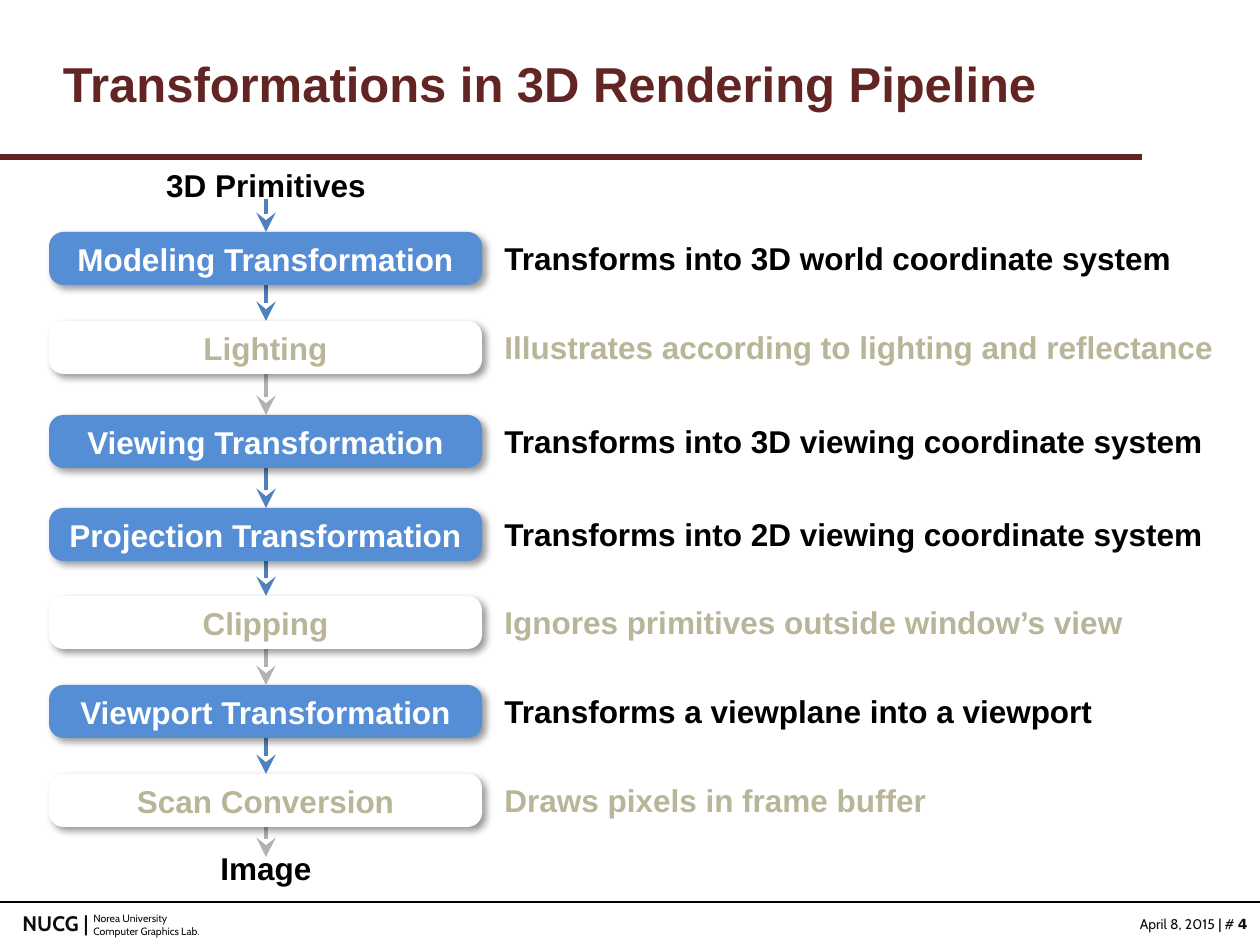
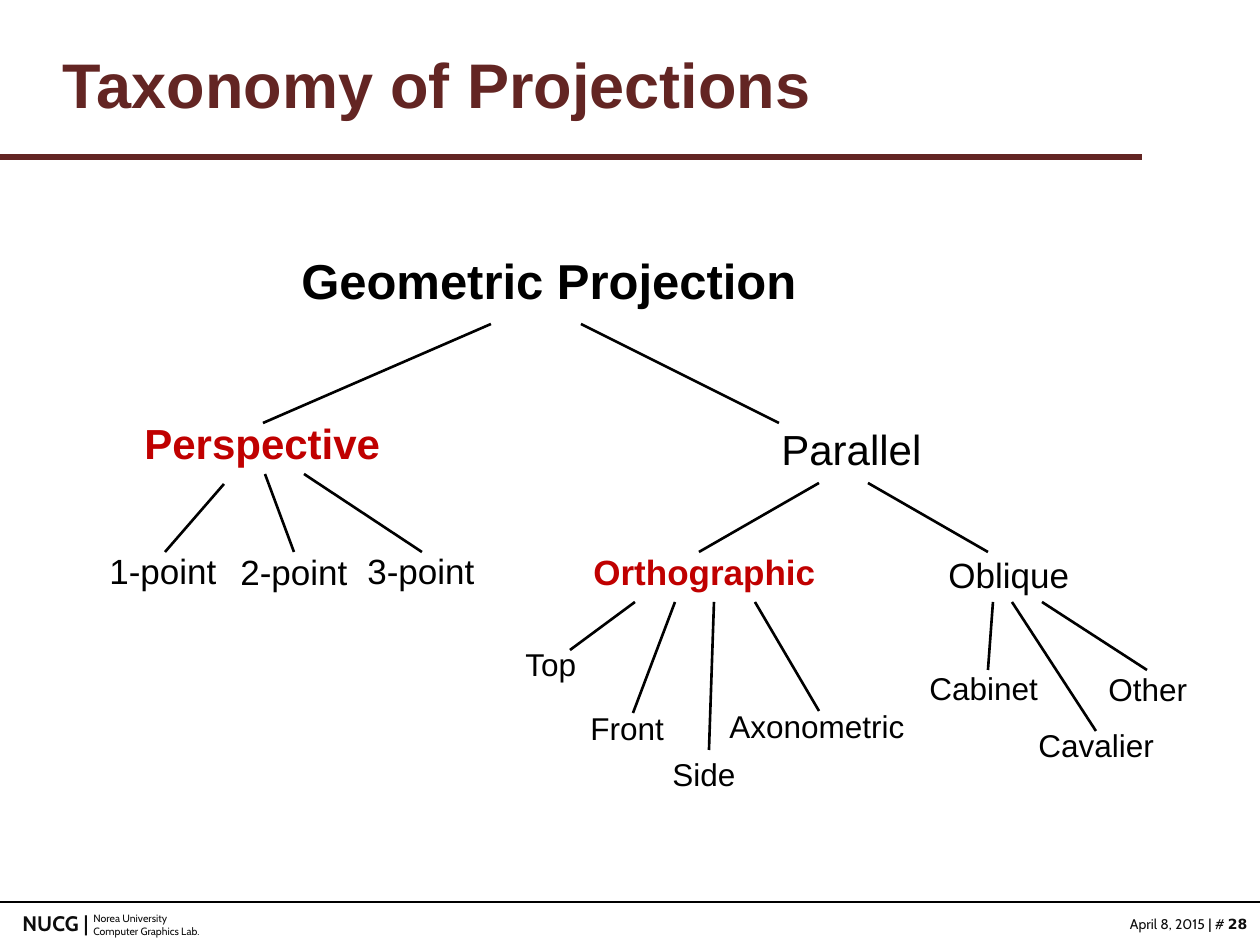
from dataclasses import dataclass
from typing import Optional

from lxml.etree import SubElement
from pptx import Presentation
from pptx.dml.color import RGBColor
from pptx.enum.shapes import MSO_CONNECTOR as CONN, MSO_SHAPE as SHAPE
from pptx.enum.text import MSO_ANCHOR as ANCHOR, MSO_AUTO_SIZE as FIT, PP_ALIGN as ALIGN
from pptx.oxml.ns import qn
from pptx.util import Emu, Pt

PX = 914400 / 126
WIDTH, HEIGHT = 1260, 945
COLORS = {
    "title": "632523", "ink": "000000", "footer": "0D0D0D", "white": "FFFFFF",
    "box": "558ED5", "arrow": "4F81BD", "muted": "B8B598", "muted_arrow": "B2B2B2",
    "accent": "C00000",
}
FLOW_X, BOX_LEFT, BOX_WIDTH, BOX_HEIGHT = 266, 49, 433, 53
NOTE_LEFT = 492
BODY = {"name": "Arial", "size": Pt(18), "bold": True}
SMALL = {"name": "Cabin", "size": Pt(8), "bold": False}
GROW = {"word_wrap": False, "auto_size": FIT.SHAPE_TO_FIT_TEXT}
FIXED = {"word_wrap": False, "auto_size": FIT.NONE}


@dataclass
class Run:
    text: str
    font: dict
    color: str = "ink"


@dataclass
class Stage:
    name: str
    note: str
    top: int
    note_width: int
    muted: bool = False


@dataclass
class Node:
    text: str
    left: int
    top: int
    width: int
    size: int
    link: Optional[tuple[int, int, int, int]] = None
    accent: bool = False
    bold: bool = False


STAGES = [
    Stage("Modeling Transformation", "Transforms into 3D world coordinate system", 232, 698),
    Stage("Lighting", "Illustrates according to lighting and reflectance", 321, 748, True),
    Stage("Viewing Transformation", "Transforms into 3D viewing coordinate system", 415, 733),
    Stage("Projection Transformation", "Transforms into 2D viewing coordinate system", 508, 733),
    Stage("Clipping", "Ignores primitives outside window’s view", 596, 650, True),
    Stage("Viewport Transformation", "Transforms a viewplane into a viewport", 685, 619),
    Stage("Scan Conversion", "Draws pixels in frame buffer", 774, 451, True),
]

NODES = [
    Node("Geometric Projection", 289, 244, 531, 28, bold=True),
    Node("Perspective", 132, 411, 267, 24, (491, 324, 263, 423), accent=True, bold=True),
    Node("Parallel", 769, 417, 172, 24, (581, 324, 779, 423)),
    Node("1-point", 97, 543, 140, 20, (224, 484, 165, 552)),
    Node("2-point", 228, 544, 140, 20, (265, 474, 294, 552)),
    Node("3-point", 355, 543, 140, 20, (304, 474, 422, 552)),
    Node("Orthographic", 581, 544, 253, 20, (819, 483, 699, 552), accent=True, bold=True),
    Node("Oblique", 936, 547, 151, 20, (868, 483, 988, 552)),
    Node("Top", 513, 639, 81, 18, (635, 602, 570, 650)),
    Node("Front", 578, 703, 104, 18, (675, 602, 633, 713)),
    Node("Side", 660, 749, 93, 18, (714, 602, 709, 750)),
    Node("Axonometric", 717, 701, 206, 18, (755, 602, 819, 711)),
    Node("Cabinet", 917, 663, 139, 18, (993, 602, 988, 670)),
    Node("Cavalier", 1026, 720, 146, 18, (1012, 602, 1096, 731)),
    Node("Other", 1096, 664, 109, 18, (1042, 602, 1147, 670)),
]


def px(*lengths: int) -> list[Emu]:
    return [Emu(round(n * PX)) for n in lengths]


def rgb(name: str) -> RGBColor:
    return RGBColor.from_string(COLORS[name])


def assign(target, fmt: dict) -> None:
    for key, value in fmt.items():
        setattr(target, key, value)


def write(tf, lines: list[list[Run]], frame: dict, para: dict) -> None:
    assign(tf, frame)
    for i, line in enumerate(lines):
        p = tf.add_paragraph() if i else tf.paragraphs[0]
        assign(p, para)
        for run in line:
            r = p.add_run()
            r.text = run.text
            assign(r.font, run.font)
            r.font.color.rgb = rgb(run.color)


def add_text(s, box: tuple[int, int, int, int], lines: list[list[Run]],
             frame: dict = GROW, **para) -> None:
    write(s.shapes.add_textbox(*px(*box)).text_frame, lines, frame, para)


def add_line(s, ends: tuple[int, int, int, int], color: str, weight: float,
             arrow: bool = False) -> None:
    line = s.shapes.add_connector(CONN.STRAIGHT, *px(*ends))
    line.line.color.rgb = rgb(color)
    line.line.width = Pt(weight)
    props = line.element.spPr
    if arrow:
        SubElement(props.find(qn("a:ln")), qn("a:tailEnd"), type="stealth", w="lg", len="lg")
    SubElement(props, qn("a:effectLst"))


def add_stage_box(s, stage: Stage) -> None:
    sp = s.shapes.add_shape(SHAPE.ROUNDED_RECTANGLE,
                            *px(BOX_LEFT, stage.top, BOX_WIDTH, BOX_HEIGHT))
    sp.adjustments[0] = 0.27
    sp.fill.solid()
    sp.fill.fore_color.rgb = rgb("white" if stage.muted else "box")
    sp.line.fill.background()
    sp.shadow.inherit = False
    shadow = SubElement(sp.element.spPr.find(qn("a:effectLst")), qn("a:outerShdw"),
                        blurRad=str(Pt(4)), dist=str(Pt(3)), dir=str(45 * 60000),
                        algn="tl", rotWithShape="0")
    black = SubElement(shadow, qn("a:srgbClr"), val=COLORS["ink"])
    SubElement(black, qn("a:alpha"), val="40000")
    color = "muted" if stage.muted else "white"
    write(sp.text_frame, [[Run(stage.name, BODY, color)]],
          {**FIXED, "vertical_anchor": ANCHOR.MIDDLE}, {"alignment": ALIGN.CENTER})


def add_base(prs, title: str, title_size: int, number: int):
    s = prs.slides.add_slide(prs.slide_layouts[6])
    tiny = {**SMALL, "size": Pt(6)}
    strong = {**SMALL, "bold": True}
    add_text(s, (81, 906, 176, 38),
             [[Run(text, tiny, "footer")] for text in ("Norea University", "Computer Graphics Lab.")],
             {**GROW, "word_wrap": True})
    add_text(s, (1071, 909, 189, 30), [[
        Run("April 8, 2015 ", SMALL, "footer"),
        Run("|", strong, "footer"),
        Run(" # ", SMALL, "footer"),
        Run(str(number), {**strong, "name": "DejaVu Sans"}, "footer"),
    ]], alignment=ALIGN.RIGHT)
    add_text(s, (0, 904, 101, 38), [[Run("NUCG |", {**strong, "size": Pt(12)}, "footer")]],
             alignment=ALIGN.RIGHT)
    add_line(s, (0, 157, 1142, 157), "title", 3)
    add_line(s, (0, 902, WIDTH, 902), "ink", 1)
    add_text(s, (38, 28, 1134, 110),
             [[Run(title, {**BODY, "size": Pt(title_size)}, "title")]],
             {"word_wrap": True, "vertical_anchor": ANCHOR.MIDDLE, "margin_left": px(25)[0]})
    return s


def build_pipeline(prs) -> None:
    s = add_base(prs, "Transformations in 3D Rendering Pipeline", 28, 4)
    arrow_ends = [stage.top for stage in STAGES[1:]] + [857]
    add_line(s, (FLOW_X, 199, FLOW_X, STAGES[0].top), "arrow", 2.25, True)
    for stage, end in zip(STAGES, arrow_ends):
        color = "muted_arrow" if stage.muted else "arrow"
        add_line(s, (FLOW_X, stage.top + BOX_HEIGHT, FLOW_X, end), color, 2.25, True)
    add_text(s, (154, 167, 224, 32), [[Run("3D Primitives", BODY)]], FIXED,
             alignment=ALIGN.CENTER, line_spacing=0.8)
    add_text(s, (208, 856, 116, 40), [[Run("Image", BODY)]], FIXED,
             alignment=ALIGN.CENTER, line_spacing=0.6)
    for stage in STAGES:
        add_stage_box(s, stage)
        add_text(s, (NOTE_LEFT, stage.top + 1, stage.note_width, 50),
                 [[Run(stage.note, BODY, "muted" if stage.muted else "ink")]])


def build_taxonomy(prs) -> None:
    s = add_base(prs, "Taxonomy of Projections", 36, 28)
    for node in NODES:
        if node.link:
            add_line(s, node.link, "ink", 1.5)
        height = round(node.size * 2.1 + 12.6)
        font = {**BODY, "size": Pt(node.size), "bold": node.bold}
        add_text(s, (node.left, node.top, node.width, height),
                 [[Run(node.text, font, "accent" if node.accent else "ink")]])


def main() -> None:
    prs = Presentation()
    prs.slide_width, prs.slide_height = px(WIDTH, HEIGHT)
    build_pipeline(prs)
    build_taxonomy(prs)
    prs.save("out.pptx")


if __name__ == "__main__":
    main()
